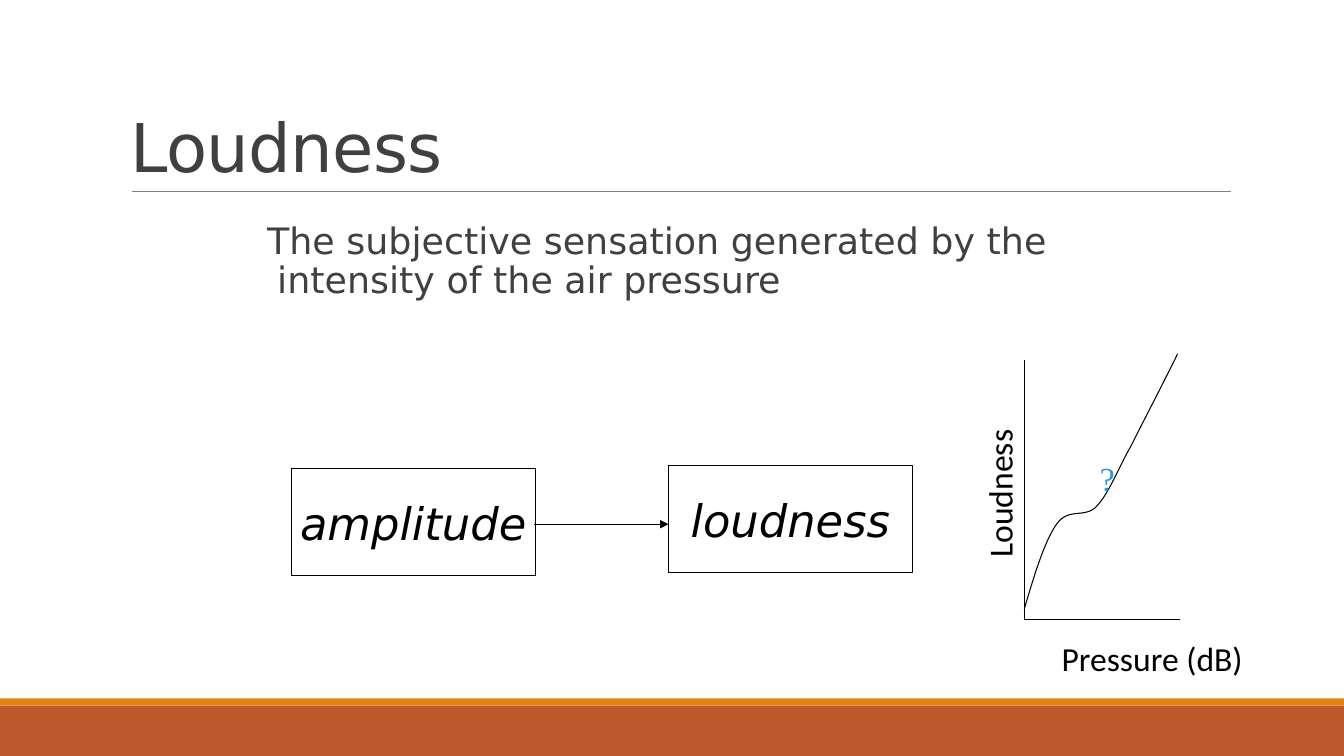
"""Build the slide that defines loudness and sketches it against pressure."""
from lxml.etree import SubElement
from pptx import Presentation
from pptx.dml.color import RGBColor
from pptx.enum.shapes import MSO_CONNECTOR, MSO_SHAPE
from pptx.enum.text import MSO_ANCHOR, PP_ALIGN
from pptx.oxml.ns import qn
from pptx.util import Inches, Pt

COLORS = {
    "rust": "BD582C",
    "orange": "E48312",
    "rule": "808080",
    "heading": "404040",
    "ink": "000000",
    "question": "2998E3",
}
CURVE_START = (10.16, 6.04)
CURVE_SEGMENTS = [
    ((10.26, 5.7), (10.36, 5.37), (10.48, 5.2)),
    ((10.6, 5.03), (10.76, 5.15), (10.88, 5.02)),
    ((11, 4.89), (11.08, 4.67), (11.22, 4.42)),
    ((11.35, 4.16), (11.61, 3.66), (11.68, 3.51)),
]
STEPS_PER_SEGMENT = 16


def color(name):
    return RGBColor.from_string(COLORS[name])


def style_text(paragraph, text, size, font_name, ink="ink", italic=None):
    paragraph.text = text
    font = paragraph.font
    font.size = Pt(size)
    font.name = font_name
    font.italic = italic
    font.color.rgb = color(ink)


def add_band(slide, top, height, fill):
    band = slide.shapes.add_shape(
        MSO_SHAPE.RECTANGLE, 0, Inches(top), Inches(13.33), Inches(height))
    band.shadow.inherit = False
    band.fill.solid()
    band.fill.fore_color.rgb = color(fill)
    band.line.fill.background()


def add_line(slide, start, end, ink="ink", width=0.75, arrow=False):
    line = slide.shapes.add_connector(
        MSO_CONNECTOR.STRAIGHT, *map(Inches, start + end))
    line.line.color.rgb = color(ink)
    line.line.width = Pt(width)
    if arrow:
        SubElement(line.line._get_or_add_ln(), qn("a:tailEnd"), type="triangle")
    SubElement(line._element.spPr, qn("a:effectLst"))


def add_title(slide, text):
    title = slide.shapes.add_textbox(*map(Inches, (1.2, 0.31, 11, 1.59)))
    title.text_frame.word_wrap = True
    title.text_frame.vertical_anchor = MSO_ANCHOR.BOTTOM
    heading = title.text_frame.paragraphs[0]
    heading.line_spacing = 0.85
    style_text(heading, text, 48, "DejaVu Sans", "heading")
    heading.runs[0]._r.get_or_add_rPr().set("spc", "-50")


def add_definition(slide, text):
    definition = slide.shapes.add_textbox(*map(Inches, (2.65, 2.16, 8.66, 4.43)))
    frame = definition.text_frame
    frame.word_wrap = True
    frame.margin_left = frame.margin_right = 0
    sentence = frame.paragraphs[0]
    sentence.line_spacing = 0.9
    hanging = sentence._p.get_or_add_pPr()
    hanging.set("marL", str(Inches(0.1)))
    hanging.set("indent", str(Inches(-0.1)))
    style_text(sentence, text, 26, "DejaVu Sans", "heading")


def add_stage(slide, left, top, text):
    stage = slide.shapes.add_shape(
        MSO_SHAPE.RECTANGLE, *map(Inches, (left, top, 2.42, 1.06)))
    stage.shadow.inherit = False
    stage.fill.background()
    stage.line.color.rgb = color("ink")
    stage.line.width = Pt(0.75)
    stage.text_frame.word_wrap = False
    stage.text_frame.vertical_anchor = MSO_ANCHOR.MIDDLE
    word = stage.text_frame.paragraphs[0]
    word.alignment = PP_ALIGN.CENTER
    style_text(word, text, 32, "DejaVu Sans", italic=True)


def add_label(slide, left, top, width, text, font_name="Calibri", ink="ink", rotation=0):
    label = slide.shapes.add_textbox(*map(Inches, (left, top, width, 0.5)))
    label.rotation = rotation
    label.text_frame.word_wrap = False
    style_text(label.text_frame.paragraphs[0], text, 24, font_name, ink)


def curve_points():
    """Sample the cubic segments of the loudness curve."""
    start = CURVE_START
    points = []
    for first, second, end in CURVE_SEGMENTS:
        for step in range(1, STEPS_PER_SEGMENT + 1):
            t = step / STEPS_PER_SEGMENT
            u = 1 - t
            points.append(tuple(
                Inches(u**3 * a + 3 * u * u * t * b + 3 * u * t * t * c + t**3 * d)
                for a, b, c, d in zip(start, first, second, end)))
        start = end
    return points


def add_curve(slide):
    builder = slide.shapes.build_freeform(*map(Inches, CURVE_START))
    builder.add_line_segments(curve_points(), close=False)
    curve = builder.convert_to_shape()
    curve.shadow.inherit = False
    curve.fill.background()
    curve.line.color.rgb = color("ink")
    curve.line.width = Pt(0.75)


def main():
    deck = Presentation()
    deck.slide_width, deck.slide_height = Inches(13.33), Inches(7.5)
    slide = deck.slides.add_slide(deck.slide_layouts[6])

    add_band(slide, 7, 0.5, "rust")
    add_band(slide, 6.93, 0.07, "orange")
    add_line(slide, (1.31, 1.9), (12.21, 1.9), "rule", 0.5)
    add_title(slide, "Loudness")
    add_definition(
        slide, "The subjective sensation generated by the intensity of the air pressure")

    add_stage(slide, 2.89, 4.65, "amplitude")
    add_stage(slide, 6.63, 4.62, "loudness")
    add_line(slide, (5.3, 5.2), (6.63, 5.2), arrow=True)

    add_line(slide, (10.16, 3.57), (10.16, 6.15))
    add_line(slide, (11.7, 6.15), (10.16, 6.15))
    add_curve(slide)
    add_label(slide, 10.43, 6.28, 2.02, "Pressure (dB)")
    add_label(slide, 9.17, 4.64, 1.48, "Loudness", rotation=270)
    add_label(slide, 10.81, 4.49, 0.35, "?", "Times New Roman", "question")

    deck.save("out.pptx")


if __name__ == "__main__":
    main()
